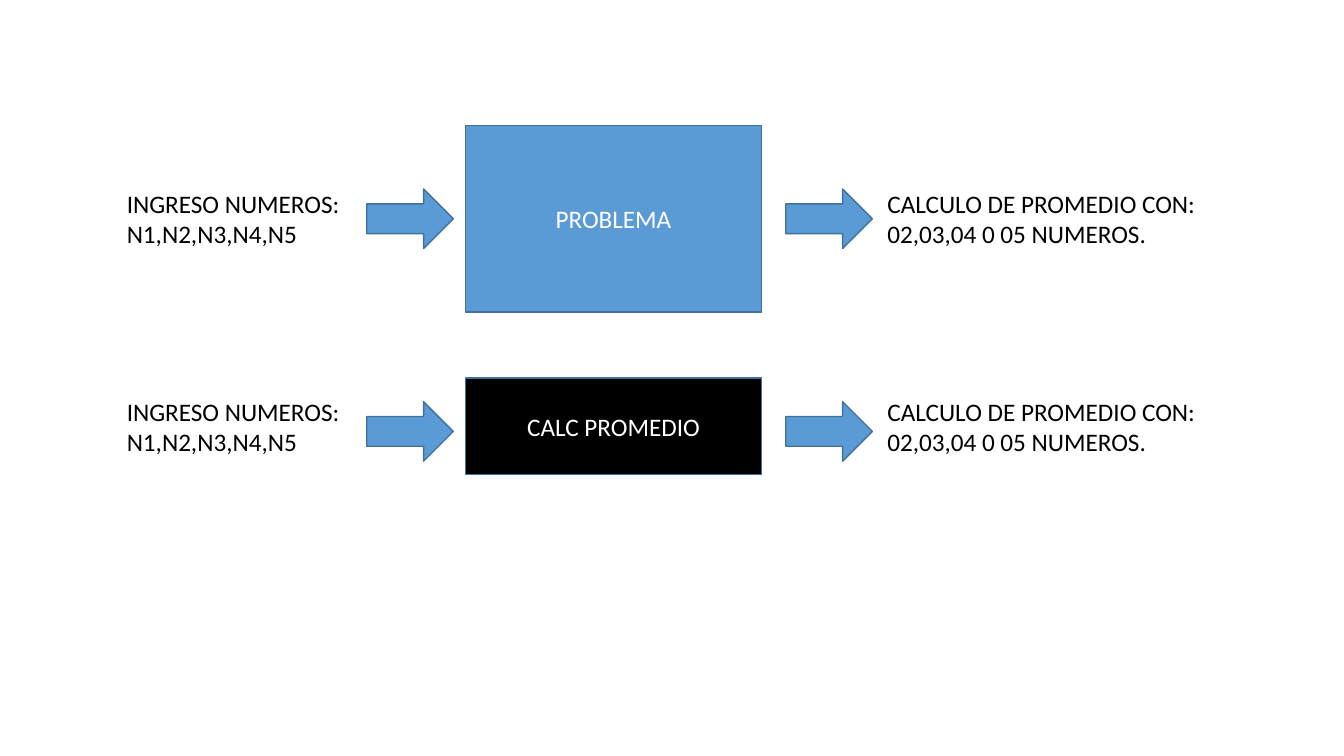
from pptx import Presentation, util as u
from pptx.dml.color import RGBColor
from pptx.enum import shapes, text

BLUE = RGBColor(0x5B, 0x9B, 0xD5)
EDGE = RGBColor(0x41, 0x71, 0x9C)
BLACK = RGBColor(0, 0, 0)
WHITE = RGBColor(255, 255, 255)
CELL = u.Inches(1)
COLS, ROWS = 13.34, 7.5
INPUT = ("INGRESO NUMEROS:", "N1,N2,N3,N4,N5")
OUTPUT = ("CALCULO DE PROMEDIO CON:", "02,03,04 0 05 NUMEROS.")


class Flow:
    """Draws flow elements on one slide, centred on a grid row."""

    def __init__(self, slide):
        self.slide = slide
        self.font = {"name": "Calibri", "size": u.Pt(18)}

    def place(self, col, mid, wide, high):
        return [round(n * CELL) for n in (col, mid - high / 2, wide, high)]

    def label(self, frame, lines, color, align):
        for i, line in enumerate(lines):
            para = frame.paragraphs[0] if i == 0 else frame.add_paragraph()
            para.alignment = align
            run = para.add_run()
            run.text = line
            for key, value in self.font.items():
                setattr(run.font, key, value)
            run.font.color.rgb = color

    def shape(self, kind, area, fill):
        item = self.slide.shapes.add_shape(kind, *self.place(*area))
        item.shadow.inherit = False
        item.fill.solid()
        item.fill.fore_color.rgb = fill
        item.line.color.rgb = EDGE
        item.line.width = u.Pt(1)
        return item

    def box(self, area, name, fill):
        frame = self.shape(shapes.MSO_SHAPE.RECTANGLE, area, fill).text_frame
        frame.vertical_anchor = text.MSO_ANCHOR.MIDDLE
        self.label(frame, [name], WHITE, text.PP_ALIGN.CENTER)

    def arrow(self, col, mid):
        self.shape(shapes.MSO_SHAPE.RIGHT_ARROW, (col, mid, 0.86, 0.59), BLUE)

    def note(self, col, mid, wide, lines):
        area = self.place(col, mid, wide, 0.7)
        frame = self.slide.shapes.add_textbox(*area).text_frame
        style = {"word_wrap": False,
                 "auto_size": text.MSO_AUTO_SIZE.SHAPE_TO_FIT_TEXT}
        for key, value in style.items():
            setattr(frame, key, value)
        self.label(frame, lines, BLACK, text.PP_ALIGN.LEFT)


def main():
    deck = Presentation()
    deck.slide_width, deck.slide_height = round(COLS * CELL), round(ROWS * CELL)
    flow = Flow(deck.slides.add_slide(deck.slide_layouts[6]))
    steps = [("PROBLEMA", BLUE, 2.17, 1.85, 2.17),
             ("CALC PROMEDIO", BLACK, 4.23, 0.96, 4.28)]
    for name, fill, mid, high, aim in steps:
        flow.box((4.62, mid, 2.94, high), name, fill)
        for col in (7.8, 3.64):
            flow.arrow(col, aim)
        flow.note(8.71, mid, 3.27, OUTPUT)
        flow.note(1.16, mid, 2.31, INPUT)
    deck.save("out.pptx")


if __name__ == "__main__":
    main()
